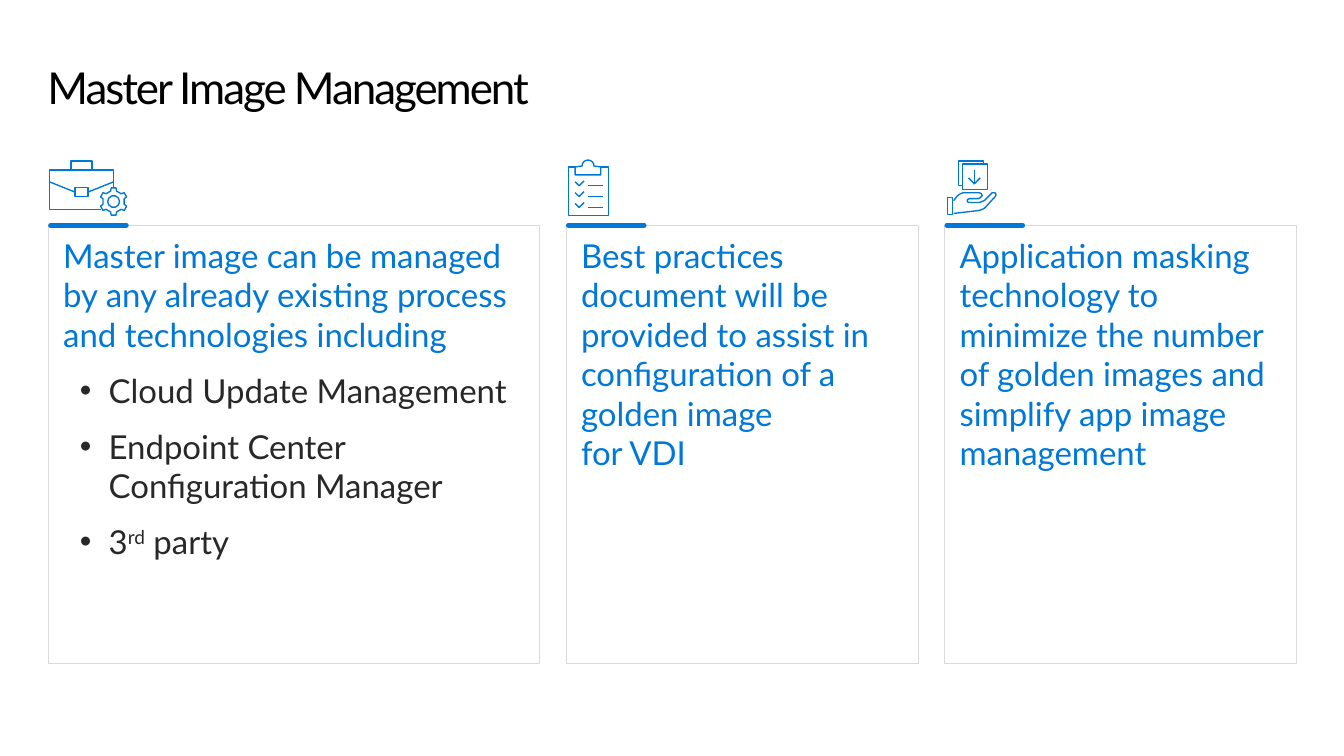
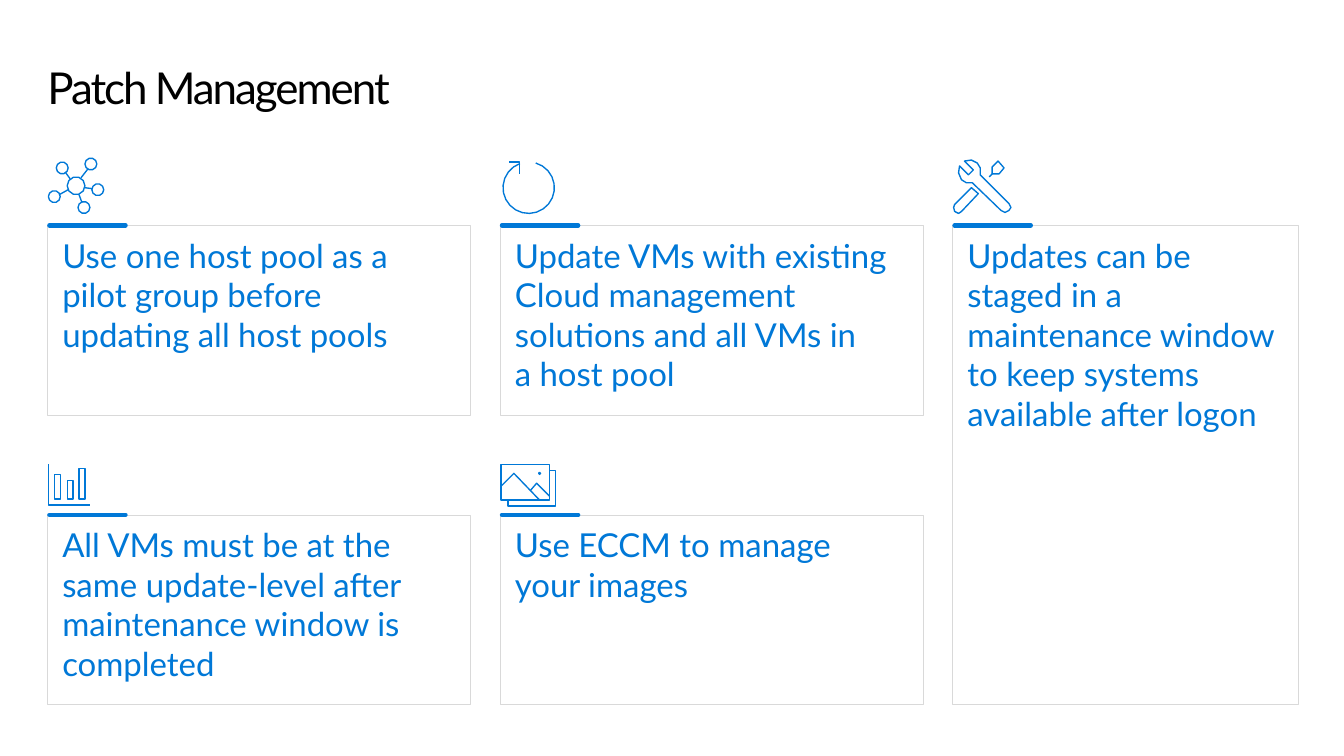
from dataclasses import dataclass
from itertools import accumulate
from math import cos, radians, sin

from lxml.etree import SubElement
from pptx import Presentation
from pptx.dml.color import RGBColor as RGB
from pptx.enum.shapes import MSO_CONNECTOR as CONN, MSO_SHAPE as SHAPE
from pptx.enum.text import MSO_ANCHOR as ANCHOR, PP_ALIGN as ALIGN
from pptx.oxml.ns import qn
from pptx.util import Inches, Pt


@dataclass(frozen=True)
class Theme:
    font: str = "Lato"
    accent: RGB = RGB(0x00, 0x78, 0xD7)
    title: RGB = RGB(0x00, 0x00, 0x00)
    body: RGB = RGB(0x28, 0x28, 0x28)
    border: RGB = RGB(0xD9, 0xD9, 0xD9)
    title_size: int = 32
    body_size: int = 24
    title_spacing: int = -150


T = Theme()
LEFT, TOP = 0.48, 2.28
BULLET = "•"
CARD_INSETS = (0.15, 0.1, 0.15, 0.1)


def apply(obj, values):
    for name, value in values.items():
        setattr(obj, name, value)


def set_frame(tf, insets):
    sides = ("margin_left", "margin_top", "margin_right", "margin_bottom")
    apply(tf, dict(zip(sides, map(Inches, insets))))
    apply(tf, {"word_wrap": True, "vertical_anchor": ANCHOR.TOP})


def set_runs(p, size, color):
    for r in p.runs:
        apply(r.font, {"name": T.font, "size": Pt(size)})
        r.font.color.rgb = color


def set_line(line, color, width):
    line.color.rgb = color
    line.width = Pt(width)


def add_title(s, text):
    box = s.shapes.add_textbox(*map(Inches, (LEFT, 0.49, 12.65, 0.85)))
    set_frame(box.text_frame, (0, 0.18, 0, 0))
    p = box.text_frame.paragraphs[0]
    p.text = text
    p.line_spacing = 0.9
    set_runs(p, T.title_size, T.title)
    for r in p.runs:
        r.font._element.set("spc", str(T.title_spacing))


def add_bullet(p):
    pPr = p._p.get_or_add_pPr()
    pPr.set("marL", str(Inches(0.46)))
    pPr.set("indent", str(Inches(-0.29)))
    SubElement(pPr, qn("a:buFont")).set("typeface", "Arial")
    SubElement(pPr, qn("a:buChar")).set("char", BULLET)


def add_accent(s, x, y):
    line = s.shapes.add_connector(CONN.STRAIGHT, *map(Inches, (x, y, x + 0.77, y)))
    set_line(line.line, T.accent, 3.25)
    line.line._get_or_add_ln().set("cap", "rnd")
    SubElement(line._element.spPr, qn("a:effectLst"))


def add_card(s, x, y, w, h, text, bullets=()):
    sp = s.shapes.add_shape(SHAPE.RECTANGLE, *map(Inches, (x, y, w, h)))
    sp.shadow.inherit = False
    sp.fill.background()
    set_line(sp.line, T.border, 0.5)
    tf = sp.text_frame
    set_frame(tf, CARD_INSETS)
    p = tf.paragraphs[0]
    p.text = text
    apply(p, {"alignment": ALIGN.LEFT, "space_after": Pt(6)})
    set_runs(p, T.body_size, T.accent)
    for parts in bullets:
        p = tf.add_paragraph()
        apply(p, {"alignment": ALIGN.LEFT, "space_before": Pt(6), "space_after": Pt(6)})
        add_bullet(p)
        for text, baseline in parts:
            r = p.add_run()
            r.text = text
            if baseline:
                r.font._element.set("baseline", str(baseline))
        set_runs(p, T.body_size, T.body)
    add_accent(s, x + 0.02, y)


def add_outline(s, strokes):
    strokes = [[(Inches(x), Inches(y)) for x, y in stroke] for stroke in strokes]
    first, *others = strokes
    builder = s.shapes.build_freeform(*first[0])
    builder.add_line_segments(first[1:], close=False)
    for stroke in others:
        builder.move_to(*stroke[0])
        builder.add_line_segments(stroke[1:], close=False)
    sp = builder.convert_to_shape()
    sp.shadow.inherit = False
    sp.fill.background()
    set_line(sp.line, T.accent, 1)


def add_icon(s, outlines):
    for strokes in outlines:
        add_outline(s, strokes)


def polar(cx, cy, radius, angle):
    return cx + radius * cos(radians(angle)), cy + radius * sin(radians(angle))


def arc(cx, cy, radius, start=0, end=360, steps=10):
    return [polar(cx, cy, radius, start + (end - start) * i / steps)
            for i in range(steps + 1)]


def rect(x1, y1, x2, y2):
    return [(x1, y1), (x2, y1), (x2, y2), (x1, y2), (x1, y1)]


def gear(cx, cy):
    tooth = ((0.11, -16), (0.14, -10), (0.14, 10), (0.11, 16))
    rim = [polar(cx, cy, radius, angle + turn)
           for angle in range(-90, 270, 60) for radius, turn in tooth]
    return [rim + rim[:1], arc(cx, cy, 0.06)]


def briefcase():
    case = [
        [(0.93, 1.72), (0.93, 1.63), (0.72, 1.63), (0.72, 1.72)],
        [(1.02, 2.12), (0.5, 2.12), (0.5, 1.72), (1.15, 1.72), (1.15, 1.9)],
        rect(0.76, 1.9, 0.89, 1.99),
        [(0.75, 1.94), (0.5, 1.84)],
        [(1.15, 1.84), (0.9, 1.94)],
    ]
    return [case, gear(1.15, 2.04)]


def checklist():
    strokes = [
        [(5.82, 1.69), *arc(5.95, 1.68, 0.06, 180, 360), (6.08, 1.69),
         (6.08, 1.77), (5.82, 1.77), (5.82, 1.69)],
        [(5.82, 1.69), (5.75, 1.69), (5.75, 2.18), (6.16, 2.18), (6.16, 1.69), (6.08, 1.69)],
    ]
    for y in (1.88, 1.99, 2.1):
        strokes += [[(6.1, y), (5.95, y)],
                    [(5.82, y - 0.04), (5.86, y), (5.91, y - 0.05)]]
    return [strokes]


def hand_with_download():
    cuff = rect(9.59, 2, 9.64, 2.17)
    hand = [
        (9.65, 2.03), (9.69, 1.98), (9.72, 1.96), (9.75, 1.95), (9.91, 1.95),
        (9.93, 1.96), (9.94, 1.98), (9.92, 2), (9.9, 2.01), (9.81, 2.01),
        (9.79, 2.02), (9.79, 2.04), (9.8, 2.05), (9.91, 2.05), (9.96, 2.03),
        (10.02, 1.97), (10.04, 1.95), (10.07, 1.95), (10.08, 1.97), (10.07, 1.99),
        (9.96, 2.11), (9.91, 2.13), (9.65, 2.16),
    ]
    front_page = rect(9.74, 1.66, 9.99, 1.92)
    back_page = [(9.74, 1.88), (9.7, 1.88), (9.7, 1.63), (9.95, 1.63), (9.95, 1.66)]
    arrow = [[(9.92, 1.8), (9.86, 1.86), (9.8, 1.8)], [(9.86, 1.85), (9.86, 1.72)]]
    return [[cuff], [hand], [front_page], [back_page], arrow]


def network():
    nodes = ((0.92, 1.66), (0.63, 1.7), (0.55, 1.99), (0.85, 2.1), (0.99, 1.92))
    spokes = [
        [(0.89, 1.71), (0.82, 1.8)], [(0.71, 1.81), (0.66, 1.74)],
        [(0.6, 1.97), (0.69, 1.92)], [(0.83, 2.05), (0.8, 1.97)],
        [(0.86, 1.9), (0.94, 1.91)],
    ]
    return [[arc(0.77, 1.88, 0.09), *(arc(x, y, 0.06) for x, y in nodes), *spokes]]


def refresh():
    return [[arc(5.35, 1.9, 0.26, -74, 250, 20),
             [(5.26, 1.76), (5.26, 1.64), (5.15, 1.64)]]]


def tools():
    screwdriver = [
        [(9.66, 2.07), (9.65, 2.1), (9.66, 2.14), (9.7, 2.16), (9.73, 2.14),
         (9.9, 1.96), (9.83, 1.9), (9.66, 2.07)],
        [(10.16, 1.7), (10.1, 1.63), (10.04, 1.69), (10.04, 1.76), (10.11, 1.76), (10.16, 1.7)],
        [(10.04, 1.76), (10.01, 1.79)],
    ]
    wrench = [
        (9.89, 1.65), (9.83, 1.62), (9.76, 1.63), (9.85, 1.72), (9.8, 1.77),
        (9.71, 1.68), (9.7, 1.75), (9.73, 1.82), (9.78, 1.85), (9.84, 1.85),
        (10.13, 2.13), (10.17, 2.15), (10.21, 2.13), (10.23, 2.1), (10.21, 2.06),
        (9.92, 1.77), (9.92, 1.7), (9.89, 1.65),
    ]
    return [screwdriver, [wrench]]


def bar_chart():
    bars = ((0.55, 4.8), (0.68, 4.86), (0.8, 4.74))
    return [[*(rect(x, y, x + 0.06, 5.05) for x, y in bars),
             [(0.49, 4.7), (0.49, 5.11), (0.91, 5.11)]]]


def pictures():
    return [[
        rect(5.07, 4.7, 5.56, 5.06),
        arc(5.46, 4.79, 0.01, steps=4),
        [(5.46, 5.06), (5.2, 4.79), (5.07, 4.92)],
        [(5.56, 5.02), (5.43, 4.89), (5.37, 4.96)],
        [(5.14, 5.06), (5.14, 5.12), (5.62, 5.12), (5.62, 4.76), (5.56, 4.76)],
    ]]


def column_lefts(left, widths, gap):
    return list(accumulate((w + gap for w in widths[:-1]), initial=left))


def new_slide(prs, title):
    s = prs.slides.add_slide(prs.slide_layouts[6])
    add_title(s, title)
    return s


def add_image_slide(prs):
    s = new_slide(prs, "Master Image Management")
    widths = (4.97, 3.56, 3.56)
    bullets = (
        [("Cloud Update Management", 0)],
        [("Endpoint Center Configuration Manager", 0)],
        [("3", 0), ("rd", 30000), (" party", 0)],
    )
    cards = (
        (briefcase, "Master image can be managed by any already existing process "
                    "and technologies including", bullets),
        (checklist, "Best practices document will be provided to assist in "
                    "configuration of a golden image\nfor VDI", ()),
        (hand_with_download, "Application masking technology to minimize the number of "
                             "golden images and simplify app image management", ()),
    )
    for x, w, (icon, text, items) in zip(column_lefts(0.49, widths, 0.27), widths, cards):
        add_card(s, x, TOP, w, 4.43, text, items)
        add_icon(s, icon())


def add_patch_slide(prs):
    s = new_slide(prs, "Patch Management")
    widths = (4.28, 4.28, 3.5)
    lefts = column_lefts(LEFT, widths, 0.3)
    row_step, height = 2.93, 1.92
    cards = (
        (0, 0, 1, network, "Use one host pool as a pilot group before updating all host pools"),
        (1, 0, 1, refresh, "Update VMs with existing Cloud management solutions "
                           "and all VMs in\na host pool"),
        (2, 0, 2, tools, "Updates can be staged in a maintenance window to keep "
                         "systems available after logon"),
        (0, 1, 1, bar_chart, "All VMs must be at the same update-level after "
                             "maintenance window is completed"),
        (1, 1, 1, pictures, "Use ECCM to manage\nyour images"),
    )
    for col, row, span, icon, text in cards:
        add_card(s, lefts[col], TOP + row * row_step, widths[col],
                 height + (span - 1) * row_step, text)
        add_icon(s, icon())


def main():
    prs = Presentation()
    apply(prs, {"slide_width": Inches(13.6), "slide_height": Inches(7.65)})
    add_image_slide(prs)
    add_patch_slide(prs)
    prs.save("out.pptx")


if __name__ == "__main__":
    main()
